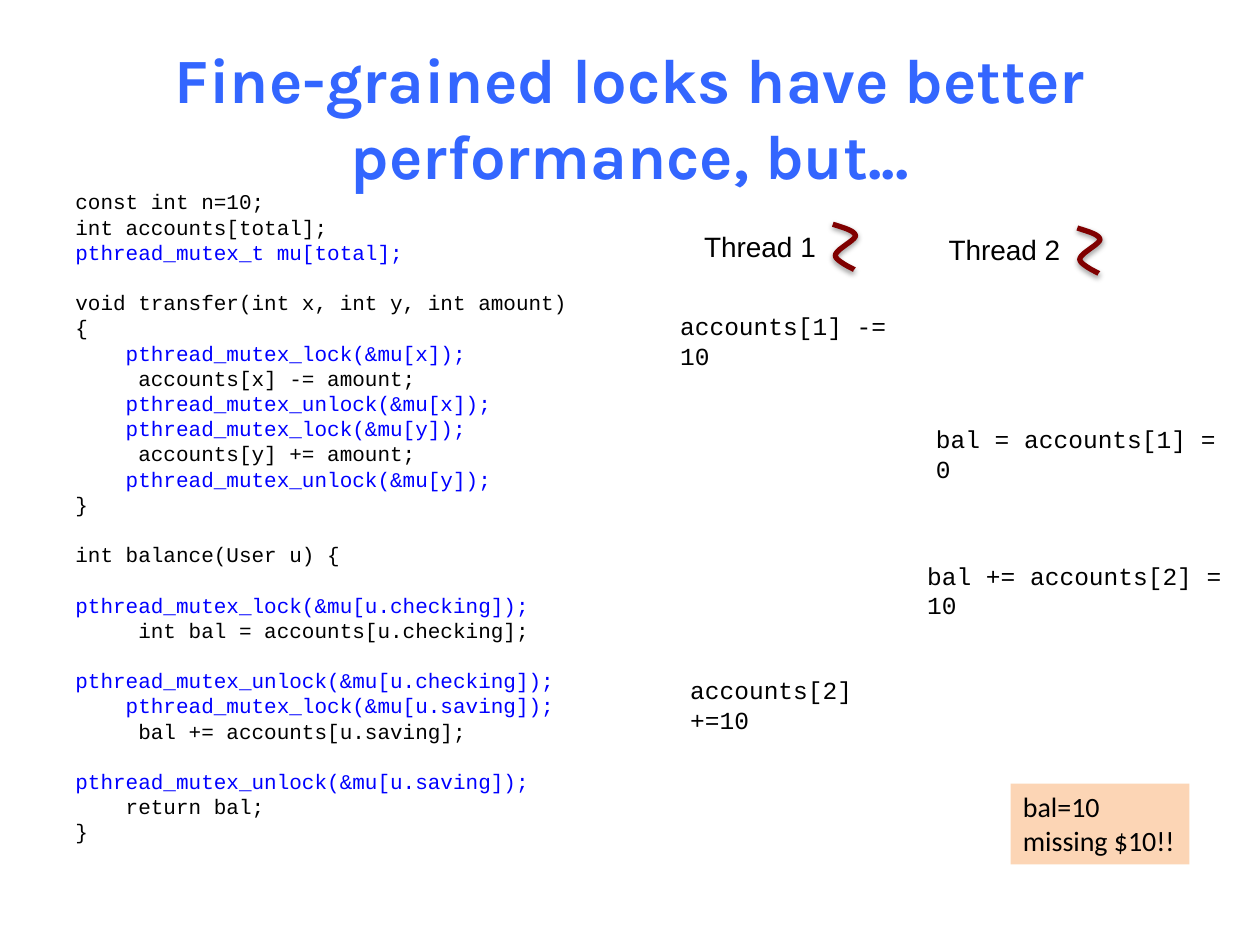
from dataclasses import dataclass
from lxml import etree
from pptx import Presentation
from pptx.dml.color import RGBColor
from pptx.enum.shapes import MSO_SHAPE
from pptx.enum.text import MSO_ANCHOR, PP_ALIGN
from pptx.oxml.ns import qn
from pptx.util import Inches, Pt

RECTANGLE = MSO_SHAPE.RECTANGLE
TOP, MIDDLE = MSO_ANCHOR.TOP, MSO_ANCHOR.MIDDLE
LEFT, CENTER = PP_ALIGN.LEFT, PP_ALIGN.CENTER

COLORS = {"title": "3366FF", "text": "000000", "lock": "0000FF",
          "squiggle": "800000", "result": "FCD5B5", "shadow": "000000"}
TITLE = {"name": "Karla", "size": Pt(36), "bold": True}
CODE = {"name": "Courier New", "size": Pt(12)}
STEP = {"name": "Courier New", "size": Pt(14)}
THREAD = {"name": "Arial", "size": Pt(16)}
RESULT = {"name": "Calibri", "size": Pt(16)}
CODE_GAP = Pt(14.4)

# Each block is set apart by one line's height
CODE_BLOCKS = [
    """const int n=10;
int accounts[total];
pthread_mutex_t mu[total];""",
    """void transfer(int x, int y, int amount) {
    pthread_mutex_lock(&mu[x]);
     accounts[x] -= amount;
    pthread_mutex_unlock(&mu[x]);
    pthread_mutex_lock(&mu[y]);
     accounts[y] += amount;
    pthread_mutex_unlock(&mu[y]);
}""",
    """int balance(User u) {
    pthread_mutex_lock(&mu[u.checking]);
     int bal = accounts[u.checking];
    pthread_mutex_unlock(&mu[u.checking]);
    pthread_mutex_lock(&mu[u.saving]);
     bal += accounts[u.saving];
    pthread_mutex_unlock(&mu[u.saving]);
    return bal;
}""",
]

# Bezier segments of a thread squiggle, relative to its first point
SQUIGGLE = [
    ((0, 0), (0.09, 0.03), (0.17, 0.05), (0.18, 0.09)),
    ((0.18, 0.09), (0.18, 0.13), (0.02, 0.2), (0.02, 0.25)),
    ((0.02, 0.25), (0.02, 0.29), (0.17, 0.36), (0.17, 0.36)),
]
CURVE_STEPS = 16


@dataclass
class Label:
    text: str
    left: float
    top: float
    width: float
    height: float = 0.34


THREADS = [Label("Thread 1", 5.49, 1.77, 1.1, 0.37),
           Label("Thread 2", 7.43, 1.8, 1.1, 0.37)]
STEPS = [Label("accounts[1] -= 10", 5.3, 2.42, 2.04),
         Label("bal = accounts[1] = 0", 7.33, 3.32, 2.47),
         Label("bal += accounts[2] = 10", 7.26, 4.4, 2.68),
         Label("accounts[2] +=10", 5.38, 5.31, 1.93)]


def color(name: str) -> RGBColor:
    return RGBColor.from_string(COLORS[name])


def write(para, text: str, style: dict, ink: str = "text", align=LEFT) -> None:
    para.alignment = align
    span = para.add_run()
    span.text = text
    for key, value in style.items():
        setattr(span.font, key, value)
    span.font.color.rgb = color(ink)


def add_box(page, label: Label, wrap: bool = True, anchor=TOP):
    box = page.shapes.add_textbox(Inches(label.left), Inches(label.top),
                                  Inches(label.width), Inches(label.height))
    box.text_frame.word_wrap = wrap
    box.text_frame.vertical_anchor = anchor
    return box


def add_code(page) -> None:
    frame = add_box(page, Label("", 0.5, 1.45, 4.16, 4.54)).text_frame
    para = frame.paragraphs[0]
    for block_index, block in enumerate(CODE_BLOCKS):
        for line_index, line in enumerate(block.split("\n")):
            if block_index or line_index:
                para = frame.add_paragraph()
            if block_index and not line_index:
                para.space_before = CODE_GAP
            write(para, line, CODE, "lock" if "pthread" in line else "text")


def add_shadow(shape) -> None:
    effects = etree.SubElement(shape.element.spPr, qn("a:effectLst"))
    shadow = etree.SubElement(effects, qn("a:outerShdw"), blurRad=str(Pt(3.1)),
                              dist=str(Pt(1.6)), dir="5400000", rotWithShape="0")
    tint = etree.SubElement(shadow, qn("a:srgbClr"), val=COLORS["shadow"])
    etree.SubElement(tint, qn("a:alpha"), val="38000")


def bezier(points: tuple, t: float) -> tuple[float, float]:
    weights = ((1 - t) ** 3, 3 * t * (1 - t) ** 2, 3 * t ** 2 * (1 - t), t ** 3)
    x, y = (sum(w * p[axis] for w, p in zip(weights, points)) for axis in (0, 1))
    return x, y


def add_squiggle(page, left: float, top: float) -> None:
    curve = [bezier(segment, step / CURVE_STEPS) for segment in SQUIGGLE
             for step in range(1, CURVE_STEPS + 1)]
    builder = page.shapes.build_freeform(Inches(left), Inches(top))
    builder.add_line_segments([(Inches(left + x), Inches(top + y)) for x, y in curve],
                              close=False)
    shape = builder.convert_to_shape()
    shape.fill.background()
    shape.line.color.rgb = color("squiggle")
    shape.line.width = Pt(3)
    add_shadow(shape)


def add_result(page) -> None:
    box = page.shapes.add_shape(RECTANGLE, Inches(8.02), Inches(6.22),
                                Inches(1.42), Inches(0.64))
    box.shadow.inherit = False
    box.fill.solid()
    box.fill.fore_color.rgb = color("result")
    box.line.fill.background()
    frame = box.text_frame
    frame.word_wrap = False
    frame.vertical_anchor = TOP
    write(frame.paragraphs[0], "bal=10", RESULT)
    write(frame.add_paragraph(), "missing $10!!", RESULT)


def main() -> None:
    deck = Presentation()
    deck.slide_width, deck.slide_height = Inches(10), Inches(7.5)
    page = deck.slides.add_slide(deck.slide_layouts[6])

    # Title
    title = Label("Fine-grained locks have better performance, but...", 0.5, 0.3, 9, 1.25)
    box = add_box(page, title, anchor=MIDDLE)
    write(box.text_frame.paragraphs[0], title.text, TITLE, "title", CENTER)

    # Program
    add_code(page)

    # Thread headings
    for thread in THREADS:
        box = add_box(page, thread, wrap=False)
        write(box.text_frame.paragraphs[0], thread.text, THREAD)
        add_squiggle(page, thread.left + 1.12, thread.top + 0.01)

    # Interleaved steps and their result
    for step in STEPS:
        write(add_box(page, step).text_frame.paragraphs[0], step.text, STEP)
    add_result(page)

    deck.save("out.pptx")


if __name__ == "__main__":
    main()
